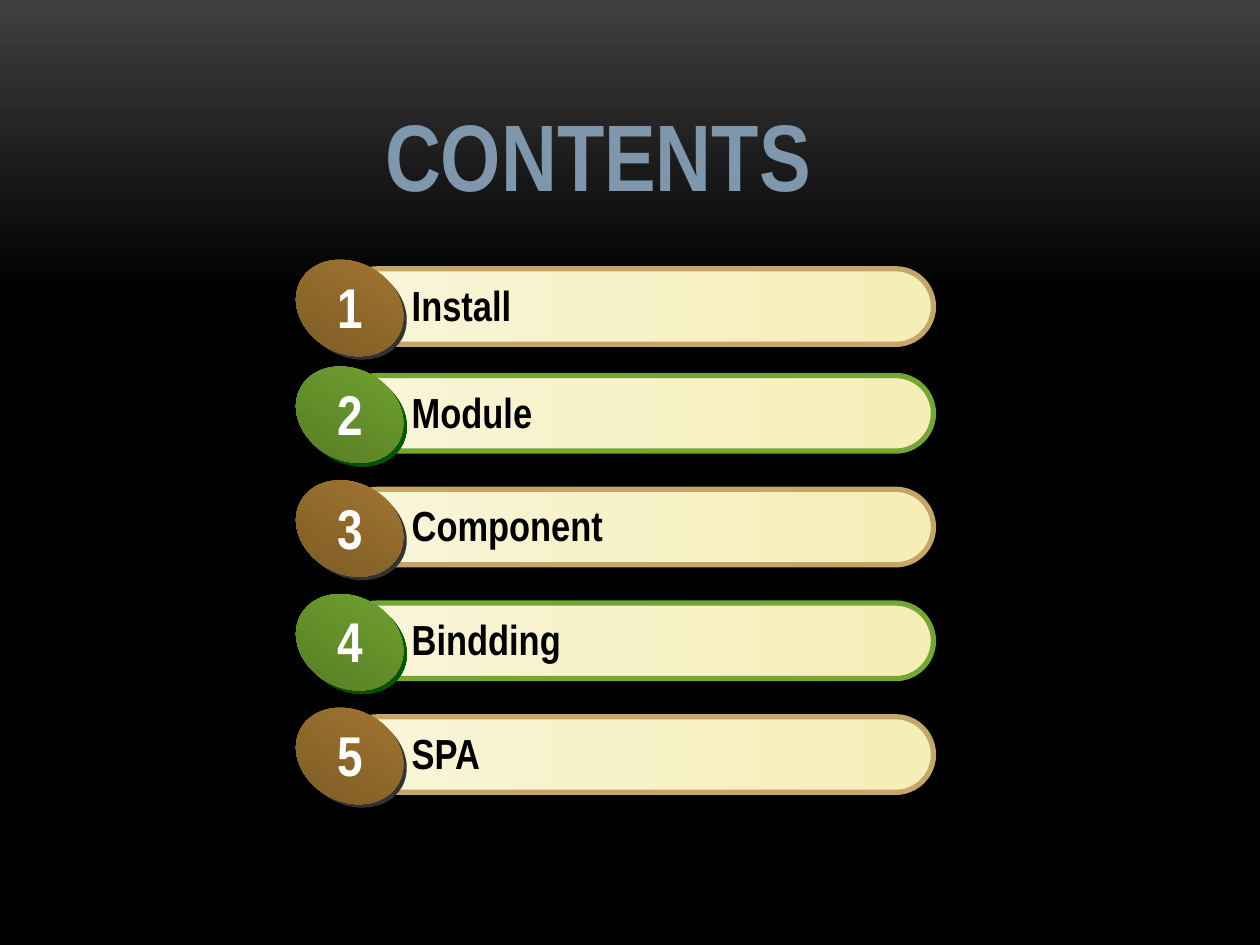
from pptx import Presentation
from pptx.dml.color import RGBColor
from pptx.enum.shapes import MSO_SHAPE as Shape
from pptx.enum.text import MSO_ANCHOR as Anchor, MSO_AUTO_SIZE as AutoSize
from pptx.util import Pt

FONT = "Arial Narrow"
BLACK = RGBColor(0x00, 0x00, 0x00)
WHITE = RGBColor(0xFF, 0xFF, 0xFF)
CHARCOAL = RGBColor(0x3F, 0x3F, 0x3F)
TITLE_BLUE = RGBColor(0x7E, 0x97, 0xAD)
CREAM_LIGHT = RGBColor(0xF9, 0xF5, 0xD9)
CREAM_DARK = RGBColor(0xF5, 0xEE, 0xB7)
TAN = RGBColor(0xC5, 0xA6, 0x67)
BROWN_LIGHT = RGBColor(0xA6, 0x7A, 0x32)
BROWN_DARK = RGBColor(0x77, 0x57, 0x24)
GRAY = RGBColor(0x33, 0x33, 0x33)
GREEN_LIGHT = RGBColor(0x74, 0xA7, 0x31)
GREEN_DARK = RGBColor(0x53, 0x77, 0x23)
FOREST_LIGHT = RGBColor(0x00, 0x66, 0x00)
FOREST_DARK = RGBColor(0x00, 0x49, 0x00)

DOWN, RIGHT = 270, 0
BROWN_THEME = (TAN, (GRAY, GRAY), (BROWN_LIGHT, BROWN_DARK))
GREEN_THEME = (GREEN_LIGHT, (FOREST_LIGHT, FOREST_DARK), (GREEN_LIGHT, GREEN_DARK))
ITEMS = [("Install", 150), ("Module", 211), ("Component", 276),
         ("Bindding", 341), ("SPA", 406)]


def set_gradient(fill, colors, angle, end=1.0):
    if colors[0] == colors[1]:
        fill.solid()
        fill.fore_color.rgb = colors[0]
        return
    fill.gradient()
    fill.gradient_angle = angle
    for stop, color, position in zip(fill.gradient_stops, colors, (0, end)):
        stop.color.rgb = color
        stop.position = position


def add_text(shapes, text, left, top, width, height, size, color, wrap=True):
    box = shapes.add_textbox(Pt(left), Pt(top), Pt(width), Pt(height))
    frame = box.text_frame
    frame.word_wrap = wrap
    frame.auto_size = AutoSize.SHAPE_TO_FIT_TEXT
    frame.text = text
    font = frame.paragraphs[0].font
    font.name, font.size, font.bold = FONT, Pt(size), True
    font.color.rgb = color
    return frame


def add_title(slide, left, top, width, height):
    frame = add_text(slide.shapes, "CONTENTS", left, top, width, height, 54, TITLE_BLUE)
    frame.auto_size = AutoSize.NONE
    frame.vertical_anchor = Anchor.BOTTOM


def add_disc(shapes, left, top, colors):
    disc = shapes.add_shape(Shape.OVAL, Pt(left), Pt(top), Pt(64), Pt(52))
    disc.rotation = 29.3
    disc.shadow.inherit = False
    disc.line.fill.background()
    set_gradient(disc.fill, colors, DOWN)


def add_item(slide, number, label, left, top, width, theme):
    border, under_colors, disc_colors = theme
    shapes = slide.shapes.add_group_shape().shapes
    bar = shapes.add_shape(Shape.ROUNDED_RECTANGLE, Pt(left + 26.6), Pt(top + 3.6),
                           Pt(width - 26.6), Pt(43.2))
    bar.adjustments[0] = 0.5
    bar.shadow.inherit = False
    set_gradient(bar.fill, (CREAM_LIGHT, CREAM_DARK), RIGHT)
    bar.line.color.rgb = border
    bar.line.width = Pt(3)
    add_text(shapes, label, left + 60.4, top + 6.2, 270, 36, 24, BLACK)
    add_disc(shapes, left + 2, top + 2, under_colors)
    add_disc(shapes, left, top, disc_colors)
    add_text(shapes, str(number), left + 18, top + 2.2, 32, 45.6, 32, WHITE, wrap=False)


def main():
    presentation = Presentation()
    presentation.slide_width, presentation.slide_height = Pt(720), Pt(540)
    slide = presentation.slides.add_slide(presentation.slide_layouts[6])
    set_gradient(slide.background.fill, (CHARCOAL, BLACK), DOWN, 0.31)
    add_title(slide, 213, 48, 300, 76)
    for number, (label, top) in enumerate(ITEMS, 1):
        theme = BROWN_THEME if number % 2 else GREEN_THEME
        add_item(slide, number, label, 167.8, top, 365.6, theme)
    presentation.save("out.pptx")


if __name__ == "__main__":
    main()
